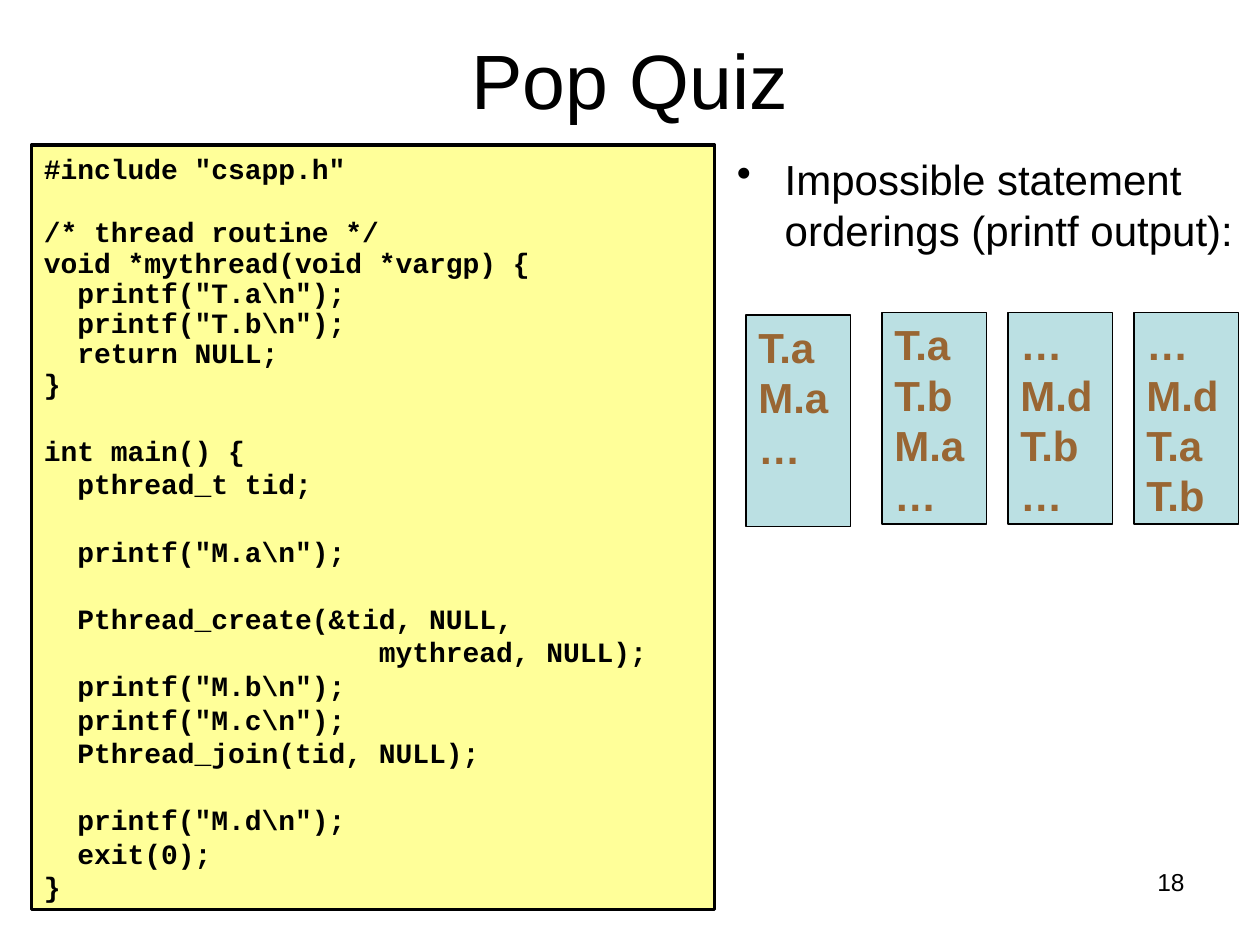
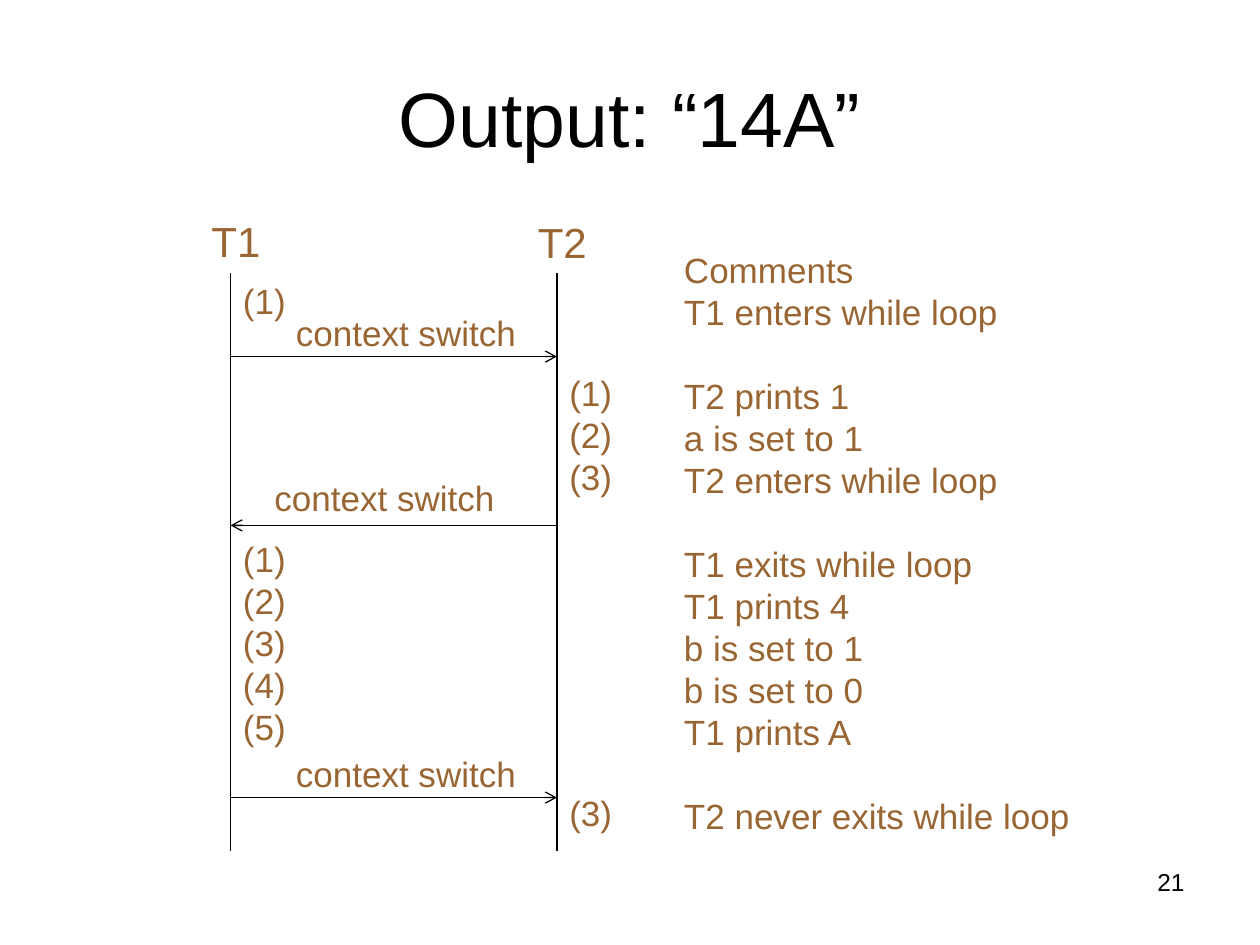
from dataclasses import dataclass
from typing import NamedTuple

from lxml import etree
from pptx import Presentation
from pptx.dml.color import RGBColor
from pptx.enum.shapes import MSO_CONNECTOR, MSO_SHAPE
from pptx.enum.text import MSO_ANCHOR, PP_ALIGN
from pptx.oxml.ns import qn
from pptx.util import Inches, Pt

RECTANGLE = MSO_SHAPE.RECTANGLE
STRAIGHT = MSO_CONNECTOR.STRAIGHT
TOP, MIDDLE = MSO_ANCHOR.TOP, MSO_ANCHOR.MIDDLE
LEFT, CENTER, RIGHT = PP_ALIGN.LEFT, PP_ALIGN.CENTER, PP_ALIGN.RIGHT

BLACK, BROWN = "000000", "996633"
YELLOW, PALE_BLUE = "FFFF99", "BBE0E3"
LINE_PITCH, TIGHT_PITCH = 1.2, 1.08
T1_X, T2_X = 1.83, 4.42
LIFELINE_TOP, LIFELINE_BOTTOM = 2.17, 6.75


class Box(NamedTuple):
    left: float
    top: float
    width: float
    height: float


class Switch(NamedTuple):
    start: float
    end: float
    y: float
    label_left: float
    label_top: float


@dataclass(frozen=True)
class TextStyle:
    size: int
    color: str = BLACK
    font: str = "Arial"
    bold: bool = False
    align: PP_ALIGN = LEFT
    anchor: MSO_ANCHOR = TOP
    bullet: str = ""
    tight: range = range(0)


@dataclass(frozen=True)
class Panel:
    box: Box
    text: str
    fill: str
    line_width: float
    style: TextStyle


@dataclass(frozen=True)
class Label:
    box: Box
    text: str
    style: TextStyle


TITLE = TextStyle(44, align=CENTER, anchor=MIDDLE)
PAGE_NUMBER = TextStyle(14, align=RIGHT)
STATEMENT = TextStyle(24, bullet="•")
CODE = TextStyle(16, font="Courier New", bold=True, anchor=MIDDLE,
                 tight=range(1, 7))
ORDERING = TextStyle(24, BROWN, bold=True)
THREAD_NAME = TextStyle(24, BROWN)
STEP = TextStyle(20, BROWN)

PROGRAM = r'''#include "csapp.h"

/* thread routine */
void *mythread(void *vargp) {
  printf("T.a\n");
  printf("T.b\n");
  return NULL;
}

int main() {
  pthread_t tid;

  printf("M.a\n");

  Pthread_create(&tid, NULL,
                    mythread, NULL);
  printf("M.b\n");
  printf("M.c\n");
  Pthread_join(tid, NULL);

  printf("M.d\n");
  exit(0);
}'''

COMMENTS = """Comments
T1 enters while loop

T2 prints 1
a is set to 1
T2 enters while loop

T1 exits while loop
T1 prints 4
b is set to 1
b is set to 0
T1 prints A

T2 never exits while loop"""

ORDERINGS = [
    (5.92, 2.5, "T.a\nM.a\n…"),
    (7, 2.48, "T.a\nT.b\nM.a\n…"),
    (8, 2.48, "…\nM.d\nT.b\n…"),
    (9, 2.48, "…\nM.d\nT.a\nT.b"),
]

QUIZ_PANELS = [
    Panel(Box(0.25, 1.15, 5.42, 6.07), PROGRAM, YELLOW, 2, CODE),
    *(Panel(Box(left, top, 0.83, 1.68), text, PALE_BLUE, 0.75, ORDERING)
      for left, top, text in ORDERINGS),
]

TRACE_LABELS = [
    Label(Box(1.58, 1.66, 1.17, 0.5), "T1", THREAD_NAME),
    Label(Box(4.17, 1.67, 1.17, 0.5), "T2", THREAD_NAME),
    Label(Box(T1_X, 2.17, 0.83, 0.44), "(1)", STEP),
    Label(Box(T1_X, 4.22, 1, 1.77), "(1)\n(2)\n(3)\n(4)\n(5)", STEP),
    Label(Box(T2_X, 2.9, 1, 3.77),
          "(1)\n(2)\n(3)" + "\n" * 8 + "(3)", STEP),
    Label(Box(5.33, 1.92, 3.92, 4.77), COMMENTS, STEP),
]

SWITCHES = [
    Switch(T1_X, T2_X, 2.83, 2.25, 2.42),
    Switch(T2_X, T1_X, 4.17, 2.08, 3.73),
    Switch(T1_X, T2_X, 6.33, 2.25, 5.92),
]


def rgb(color: str) -> RGBColor:
    return RGBColor.from_string(color)


def lengths(box: Box) -> list:
    return [Inches(value) for value in box]


def apply_format(target, values: dict) -> None:
    for name, value in values.items():
        setattr(target, name, value)


def add_bullet(paragraph, symbol: str) -> None:
    properties = paragraph._p.get_or_add_pPr()
    properties.set("marL", str(Inches(0.38)))
    properties.set("indent", str(Inches(-0.38)))
    etree.SubElement(properties, qn("a:buChar")).set("char", symbol)


def write_text(frame, text: str, style: TextStyle) -> None:
    apply_format(frame, {
        "word_wrap": True, "vertical_anchor": style.anchor,
        "margin_left": Inches(0.1), "margin_right": Inches(0.1),
        "margin_top": Inches(0.05), "margin_bottom": Inches(0),
    })
    if style.anchor == MIDDLE:
        frame.margin_bottom = Inches(0.05)
    index = blanks = 0
    for line in text.split("\n"):
        if not line:
            blanks += 1
            continue
        paragraph = frame.add_paragraph() if index else frame.paragraphs[0]
        pitch = TIGHT_PITCH if index in style.tight else LINE_PITCH
        apply_format(paragraph, {
            "alignment": style.align,
            "line_spacing": Pt(style.size * pitch),
            "space_before": Pt(style.size * LINE_PITCH * blanks),
        })
        if style.bullet:
            add_bullet(paragraph, style.bullet)
        run = paragraph.add_run()
        run.text = line
        apply_format(run.font, {
            "name": style.font, "size": Pt(style.size), "bold": style.bold,
        })
        run.font.color.rgb = rgb(style.color)
        index += 1
        blanks = 0


def add_label(slide, label: Label) -> None:
    text_box = slide.shapes.add_textbox(*lengths(label.box))
    write_text(text_box.text_frame, label.text, label.style)


def add_panel(slide, panel: Panel) -> None:
    rectangle = slide.shapes.add_shape(RECTANGLE, *lengths(panel.box))
    rectangle.shadow.inherit = False
    rectangle.fill.solid()
    rectangle.fill.fore_color.rgb = rgb(panel.fill)
    rectangle.line.color.rgb = rgb(BLACK)
    rectangle.line.width = Pt(panel.line_width)
    write_text(rectangle.text_frame, panel.text, panel.style)


def add_line(slide, start: tuple, end: tuple, arrow: bool = False) -> None:
    points = [Inches(value) for value in (*start, *end)]
    connector = slide.shapes.add_connector(STRAIGHT, *points)
    connector.line.color.rgb = rgb(BLACK)
    connector.line.width = Pt(0.75)
    properties = connector._element.spPr
    if arrow:
        tail = etree.SubElement(properties.find(qn("a:ln")), qn("a:tailEnd"))
        tail.set("type", "arrow")
    etree.SubElement(properties, qn("a:effectLst"))


def add_titled_slide(deck, title: str, title_top: float, number: str):
    slide = deck.slides.add_slide(deck.slide_layouts[6])
    add_label(slide, Label(Box(0.5, title_top, 9, 1.25), title, TITLE))
    add_label(slide, Label(Box(7.17, 6.83, 2.33, 0.52), number, PAGE_NUMBER))
    return slide


def build_quiz(deck) -> None:
    slide = add_titled_slide(deck, "Pop Quiz", 0, "18")
    add_label(slide, Label(Box(5.75, 1.17, 4.17, 4.95),
                           "Impossible statement orderings (printf output):",
                           STATEMENT))
    for panel in QUIZ_PANELS:
        add_panel(slide, panel)


def build_trace(deck) -> None:
    slide = add_titled_slide(deck, "Output: “14A”", 0.3, "21")
    for x in (T1_X, T2_X):
        add_line(slide, (x, LIFELINE_TOP), (x, LIFELINE_BOTTOM))
    for label in TRACE_LABELS:
        add_label(slide, label)
    for switch in SWITCHES:
        add_line(slide, (switch.start, switch.y), (switch.end, switch.y), True)
        add_label(slide, Label(
            Box(switch.label_left, switch.label_top, 2.5, 0.44),
            "context switch", STEP))


def main() -> None:
    deck = Presentation()
    deck.slide_width, deck.slide_height = Inches(10), Inches(7.5)
    build_quiz(deck)
    build_trace(deck)
    deck.save("out.pptx")


if __name__ == "__main__":
    main()
